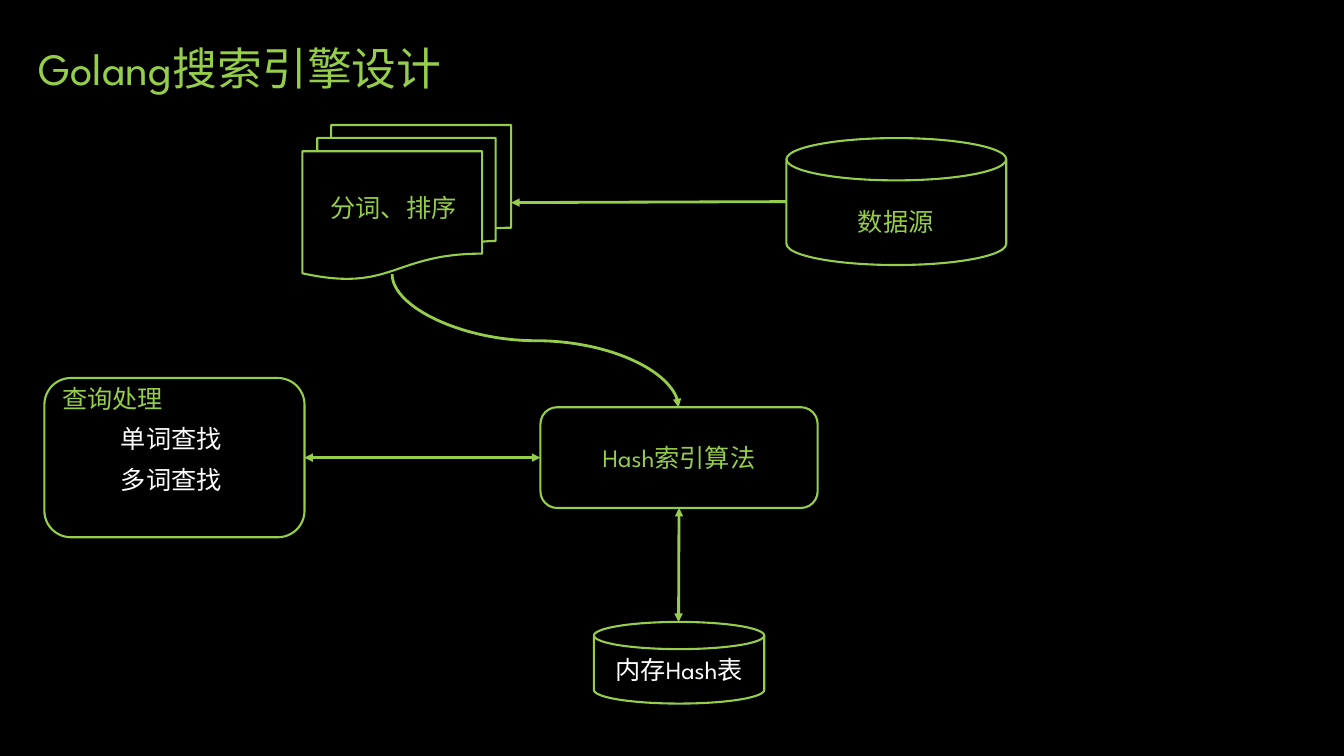
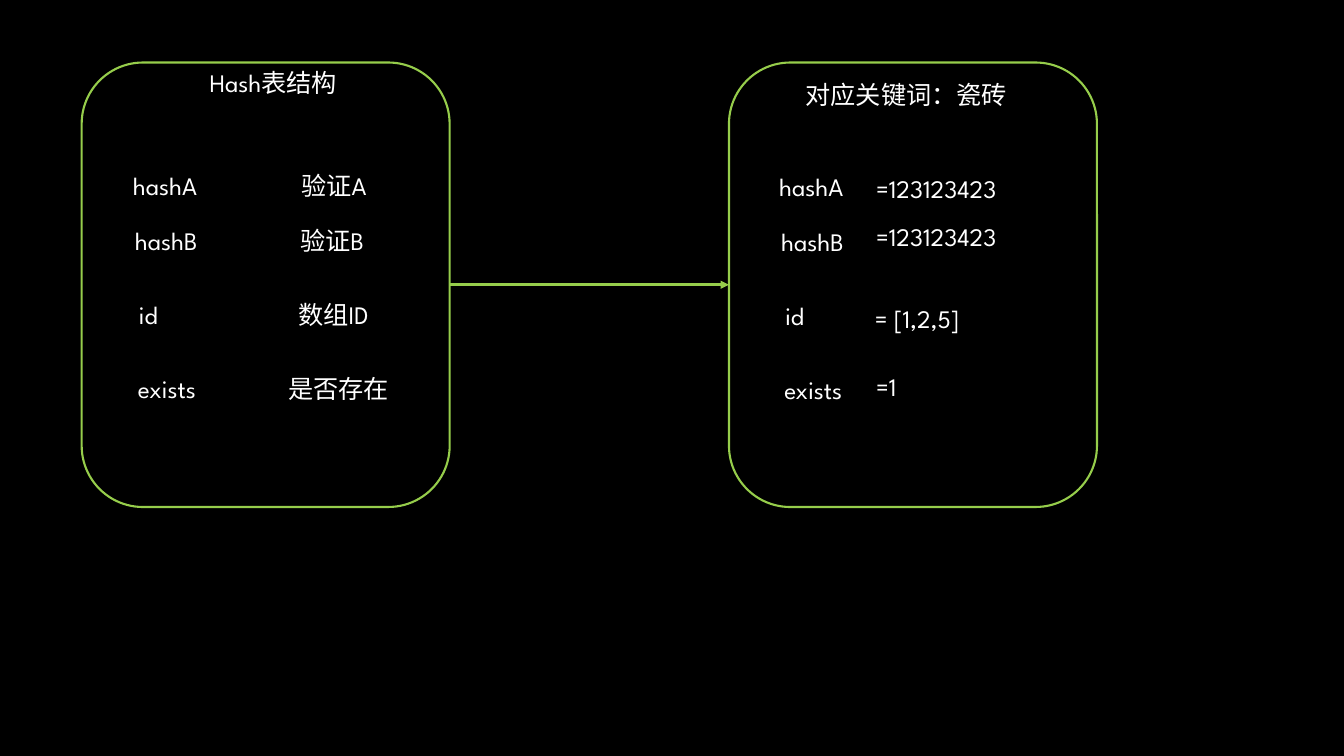
import pptx
import pptx.util
import pptx.dml.color
import pptx.enum.shapes
import pptx.enum.text
from lxml import etree

Inches, Pt = pptx.util.Inches, pptx.util.Pt
SHAPE = pptx.enum.shapes.MSO_SHAPE
LINE = pptx.enum.shapes.MSO_CONNECTOR
TEXT = pptx.enum.text
A = "{http://schemas.openxmlformats.org/drawingml/2006/main}"
COLORS = {name: pptx.dml.color.RGBColor.from_string(value) for name, value in
          {"black": "000000", "green": "96CD4B", "white": "FFFFFF"}.items()}
FONT = "League Spartan"

prs = pptx.Presentation()
prs.slide_width, prs.slide_height = Inches(13.33), Inches(7.5)
background = prs.slide_master.background.fill
background.solid()
background.fore_color.rgb = COLORS["black"]


def write(sp, text, color, size=18, align=TEXT.PP_ALIGN.LEFT, anchor=TEXT.MSO_ANCHOR.TOP):
    tf = sp.text_frame
    tf.text = text
    tf.word_wrap = True
    tf.vertical_anchor = anchor
    p = tf.paragraphs[0]
    p.alignment = align
    p.font.name, p.font.size = FONT, Pt(size)
    p.font.color.rgb = COLORS[color]


def style_line(sp, width, heads=()):
    """Draw the outline in green without a shadow, with arrowheads at the given ends."""
    sp.line.color.rgb = COLORS["green"]
    sp.line.width = Pt(width)
    if isinstance(sp, pptx.shapes.connector.Connector):
        for end in heads:
            etree.SubElement(sp.line._get_or_add_ln(), A + end, type="triangle")
        etree.SubElement(sp._element.spPr, A + "effectLst")
    else:
        sp.fill.background()
        sp.shadow.inherit = False


# Slide 1: search engine design
s = prs.slides.add_slide(prs.slide_layouts[5])
title = s.shapes.title
title.left, title.top, title.width, title.height = map(Inches, (0.28, 0.35, 4.55, 0.64))
write(title, "Golang搜索引擎设计", "green", size=32)

nodes = {}
for name, kind, box in [
    ("query", SHAPE.ROUNDED_RECTANGLE, (0.44, 3.75, 2.58, 1.58)),
    ("source", SHAPE.FLOWCHART_MAGNETIC_DISK, (7.8, 1.37, 2.18, 1.26)),
    ("index", SHAPE.ROUNDED_RECTANGLE, (5.36, 4.04, 2.75, 1)),
    ("memory", SHAPE.FLOWCHART_MAGNETIC_DISK, (5.89, 6.17, 1.69, 0.81)),
    ("documents", SHAPE.FLOWCHART_MULTIDOCUMENT, (3, 1.24, 2.07, 1.53)),
]:
    nodes[name] = s.shapes.add_shape(kind, *map(Inches, box))
    style_line(nodes[name], 1.5)
for name, text, color in [("index", "Hash索引算法", "green"), ("memory", "内存Hash表", "white")]:
    write(nodes[name], text, color, align=TEXT.PP_ALIGN.CENTER, anchor=TEXT.MSO_ANCHOR.MIDDLE)

for text, color, left, top, width in [
    ("查询处理", "green", 0.52, 3.75, 1.21),
    ("单词查找", "white", 1.1, 4.15, 1.21),
    ("多词查找", "white", 1.1, 4.56, 1.21),
    ("数据源", "green", 8.41, 2, 0.96),
    ("分词、排序", "green", 3.18, 1.86, 1.46),
]:
    write(s.shapes.add_textbox(*map(Inches, (left, top, width, 0.4))), text, color)

both, tail = ("headEnd", "tailEnd"), ("tailEnd",)
arrows = {}
for name, kind, ends, heads in [
    ("index-memory", LINE.STRAIGHT, (6.73, 5.04, 6.73, 6.17), both),
    ("index-query", LINE.STRAIGHT, (5.36, 4.54, 3.02, 4.54), both),
    ("source-documents", LINE.STRAIGHT, (7.8, 2, 5.07, 2.01), tail),
    ("documents-index", LINE.CURVE, (5.97, 1.96, 4.65, 4.8), tail),
]:
    arrows[name] = s.shapes.add_connector(kind, *map(Inches, ends))
    style_line(arrows[name], 2, heads)
arrows["index-memory"].begin_connect(nodes["index"], 2)
arrows["index-query"].begin_connect(nodes["index"], 1)
arrows["index-query"].end_connect(nodes["query"], 3)
# A quarter turn makes the curve leave downwards
arrows["documents-index"]._element.spPr.xfrm.set("rot", str(270 * 60000))

# Slide 2: hash table structure and an example entry
s = prs.slides.add_slide(prs.slide_layouts[6])
fields = [("hashA", 0.41, 1.64, 0.97), ("hashB", 0.43, 2.19, 0.93),
          ("id", 0.47, 2.92, 0.43), ("exists", 0.46, 3.65, 0.82)]
panels = []
for panel_left, label_shift, texts in [
    (0.81, 0, [("Hash表结构", 1.98, 0.62, 1.56),
               ("验证A", 2.89, 1.64, 0.89), ("验证B", 2.88, 2.19, 0.85),
               ("数组ID", 2.86, 2.92, 0.95), ("是否存在", 2.76, 3.65, 1.21)]),
    (7.23, 0.01, [("对应关键词：瓷砖", 7.89, 0.74, 2.24),
                  ("=123123423", 8.59, 1.67, 1.62), ("=123123423", 8.59, 2.15, 1.62),
                  ("= [1,2,5]", 8.58, 2.96, 1.16), ("=1", 8.59, 3.63, 0.49)]),
]:
    panel = s.shapes.add_shape(SHAPE.ROUNDED_RECTANGLE,
                               *map(Inches, (panel_left, 0.62, 3.65, 4.41)))
    style_line(panel, 1.5)
    panels.append(panel)
    labels = [(text, panel_left + dx - label_shift, top + label_shift, width)
              for text, dx, top, width in fields]
    for text, left, top, width in texts + labels:
        write(s.shapes.add_textbox(*map(Inches, (left, top, width, 0.4))), text, "white")

arrow = s.shapes.add_connector(LINE.STRAIGHT, *map(Inches, (4.46, 2.82, 7.23, 2.82)))
style_line(arrow, 2, tail)
arrow.begin_connect(panels[0], 3)
arrow.end_connect(panels[1], 1)

prs.save("out.pptx")
